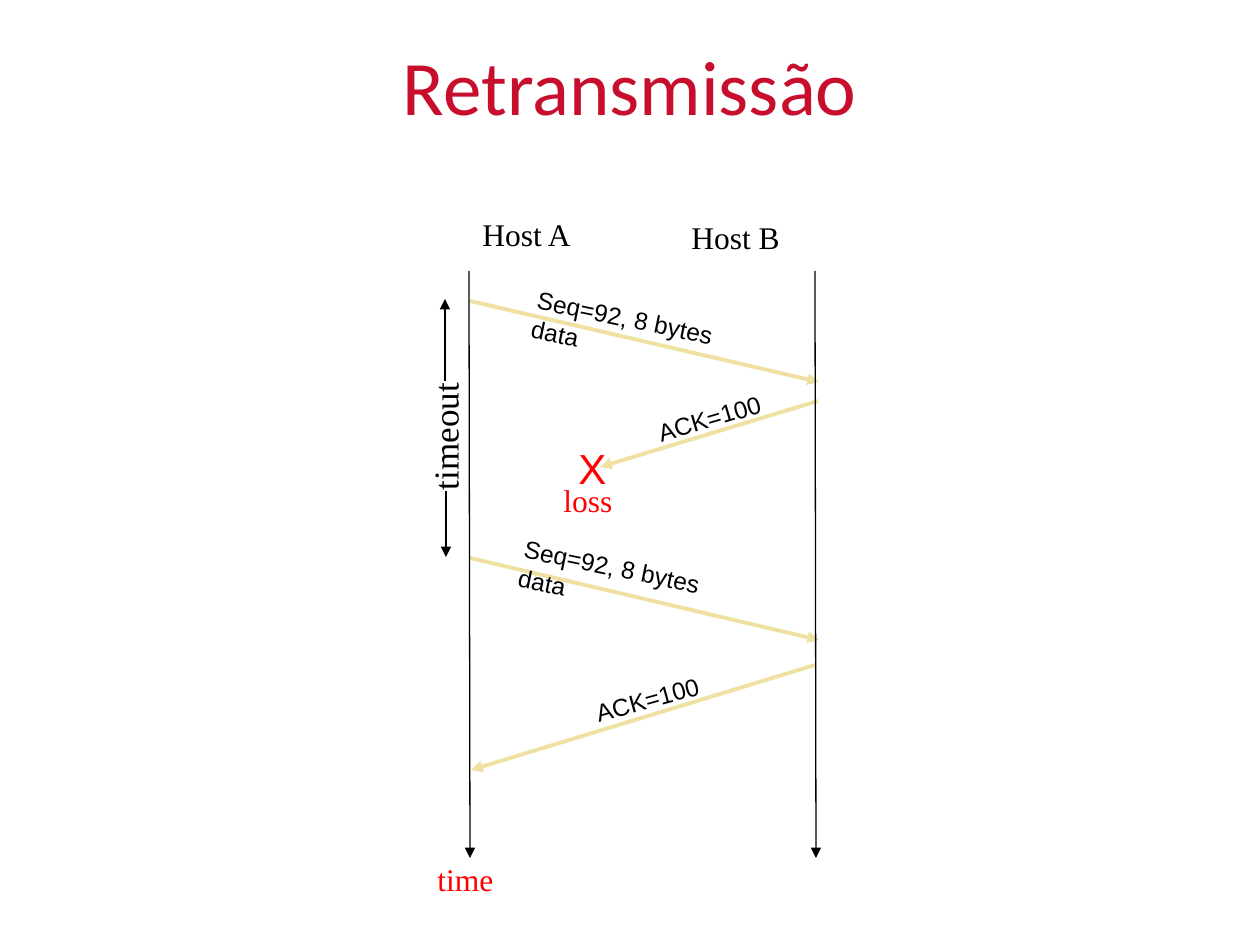
"""Build a slide with a sequence diagram of a retransmission after a lost ACK."""
from lxml import etree
from pptx import Presentation
from pptx.dml.color import RGBColor
from pptx.enum.shapes import MSO_CONNECTOR
from pptx.enum.text import MSO_ANCHOR, PP_ALIGN
from pptx.oxml.ns import qn
from pptx.util import Emu, Pt

STRAIGHT = MSO_CONNECTOR.STRAIGHT
MIDDLE = MSO_ANCHOR.MIDDLE
LEFT, CENTER = PP_ALIGN.LEFT, PP_ALIGN.CENTER

BLACK = RGBColor(0x00, 0x00, 0x00)
RED = RGBColor(0xFF, 0x00, 0x00)
CRIMSON = RGBColor(0xC8, 0x0E, 0x2D)
SAND = RGBColor(0xEF, 0xE1, 0xA2)
SERIF, SANS, TITLE_FONT = "Times New Roman", "Arial", "Calibri"

TITLE = "Retransmissão"
TITLE_BOX = (63, 6, 1134, 158)

MESSAGES = [
    ((818, 401), (600, 467)),
    ((470, 301), (819, 382)),
    ((470, 558), (819, 640)),
    ((815, 665), (471, 770)),
]
TIMELINES = [((469, 271), (470, 858)), ((815, 271), (816, 858))]
TIMEOUT_ARROWS = [((445, 381), (445, 299)), ((446, 491), (446, 557))]
ARROW_GROUPS = [
    (MESSAGES, SAND, 2.25),
    (TIMELINES, BLACK, 0.75),
    (TIMEOUT_ARROWS, BLACK, 1.5),
]

LABELS = [
    ("Host A", (470, 209, 115, 50), 0, SERIF, 18, BLACK, False),
    ("Host B", (679, 212, 115, 50), 0, SERIF, 18, BLACK, False),
    ("Seq=92, 8 bytes data", (523, 302, 257, 42), 11.8, SANS, 14, BLACK, True),
    ("ACK=100", (644, 397, 131, 42), 343.6, SANS, 14, BLACK, False),
    ("X", (566, 436, 53, 63), 0, SANS, 24, RED, False),
    ("loss", (551, 475, 81, 57), 0, SERIF, 18, RED, False),
    ("timeout", (378, 408, 134, 55), 270, SERIF, 20, BLACK, False),
    ("Seq=92, 8 bytes data", (510, 551, 257, 42), 11.8, SANS, 14, BLACK, True),
    ("ACK=100", (582, 678, 134, 42), 344.6, SANS, 14, BLACK, True),
    ("time", (425, 854, 91, 57), 0, SERIF, 18, RED, False),
]


def px(*lengths):
    return [Emu(round(length * 914400 / 126)) for length in lengths]


def write(paragraph, text, font_name, size, color, alignment):
    paragraph.alignment = alignment
    run = paragraph.add_run()
    run.text = text
    run.font.name = font_name
    run.font.size = Pt(size)
    run.font.color.rgb = color


def add_title(slide):
    title = slide.shapes.title
    title.left, title.top, title.width, title.height = px(*TITLE_BOX)
    title.text_frame.vertical_anchor = MIDDLE
    write(title.text_frame.paragraphs[0], TITLE, TITLE_FONT, 44, CRIMSON, CENTER)


def add_arrow(slide, start, end, color, width):
    connector = slide.shapes.add_connector(STRAIGHT, *px(*start, *end))
    connector.line.color.rgb = color
    connector.line.width = Pt(width)
    line = connector.line._get_or_add_ln()
    etree.SubElement(line, qn("a:tailEnd"), type="triangle")
    etree.SubElement(connector._element.spPr, qn("a:effectLst"))


def add_label(slide, text, box, rotation, font_name, size, color, wrap):
    label = slide.shapes.add_textbox(*px(*box))
    label.rotation = rotation
    label.text_frame.word_wrap = wrap
    write(label.text_frame.paragraphs[0], text, font_name, size, color, LEFT)


def main():
    presentation = Presentation()
    presentation.slide_width, presentation.slide_height = px(1260, 945)
    slide = presentation.slides.add_slide(presentation.slide_layouts[5])
    add_title(slide)
    for arrows, color, width in ARROW_GROUPS:
        for start, end in arrows:
            add_arrow(slide, start, end, color, width)
    for label in LABELS:
        add_label(slide, *label)
    presentation.save("out.pptx")


if __name__ == "__main__":
    main()
